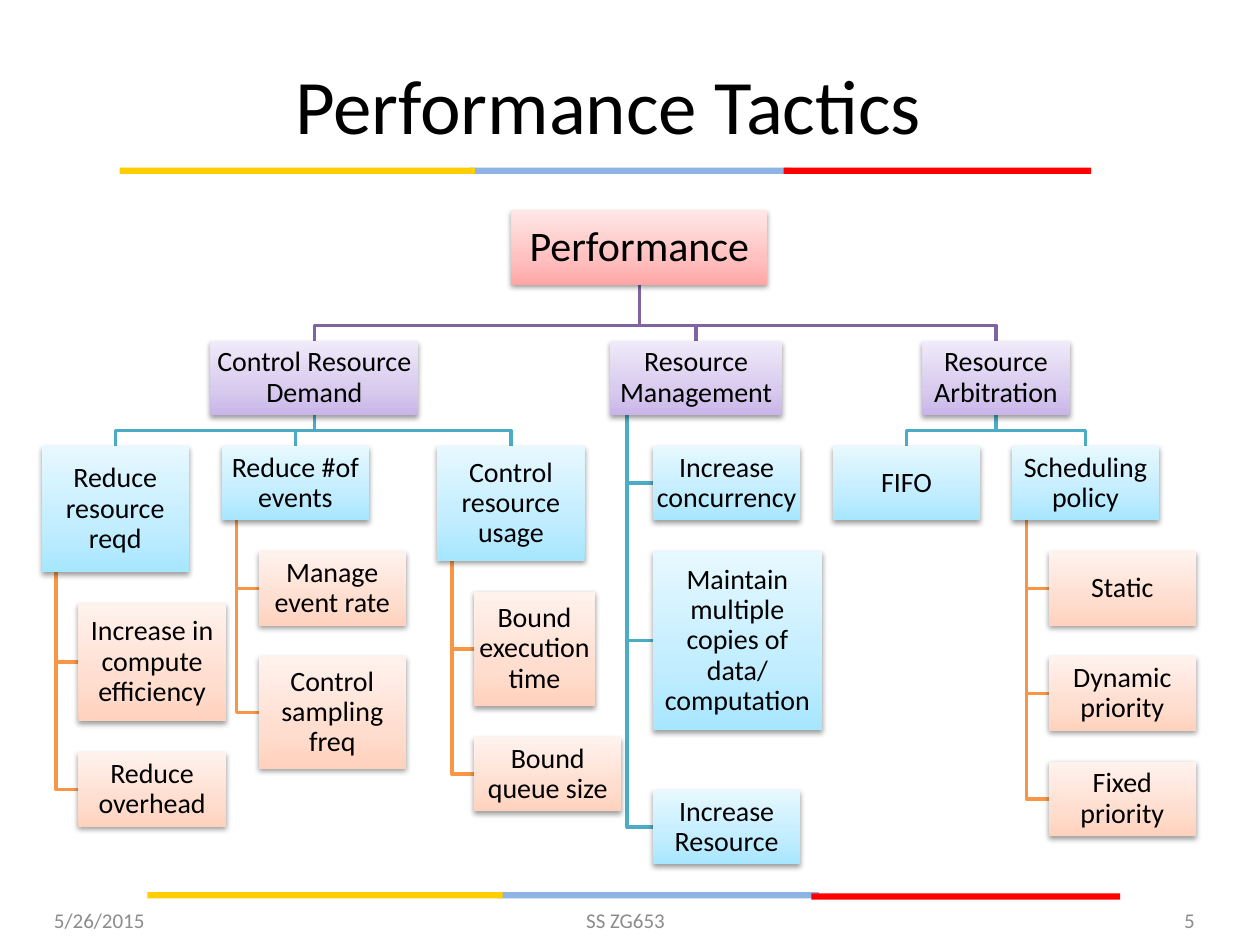
from dataclasses import dataclass, field

from lxml import etree
from pptx import Presentation
from pptx.dml.color import RGBColor
from pptx.enum.shapes import MSO_SHAPE as Preset
from pptx.enum.text import MSO_ANCHOR as Anchor, PP_ALIGN as Align
from pptx.oxml import parse_xml
from pptx.oxml.ns import nsdecls, qn
from pptx.util import Inches, Pt


@dataclass(frozen=True)
class Theme:
    font: str = "Calibri"
    black: str = "000000"
    gray: str = "8C8C8C"
    yellow: str = "FFCE00"
    blue: str = "8EB4E3"
    red: str = "FF0000"
    title: int = 44
    root: int = 24
    node: int = 16
    footer: int = 12
    line: int = 2
    level_fills: tuple = (
        ("FFA6A5", "FFC0BF", "FFE7E7"),
        ("C9B5E8", "D8CBEE", "F0EAF9"),
        ("A7E6FF", "C1EDFF", "E7F8FF"),
        ("FFD2BD", "FFDED0", "FFF2ED"),
    )
    level_lines: tuple = ("8064A2", "8064A2", "4BACC6", "F79646")


@dataclass
class Node:
    """One box of the tree; without a left edge it hangs below its parent."""
    text: str
    left: float = None
    width: float = 1.17
    height: float = 0.59
    extra: float = 0
    children: list = field(default_factory=list)
    top: float = 0
    level: int = 0
    hangs: bool = False


THEME = Theme()
GAP = 0.245
TREE = Node("Performance", 4.06, 2.03, children=[
    Node("Control Resource Demand", 1.67, 1.65, extra=0.2, children=[
        Node("Reduce resource reqd", 0.33, height=1, children=[
            Node("Increase in compute efficiency", height=0.94),
            Node("Reduce overhead"),
        ]),
        Node("Reduce #of events", 1.76, children=[
            Node("Manage event rate"),
            Node("Control sampling freq", height=0.89),
        ]),
        Node("Control resource usage", 3.47, height=0.91, children=[
            Node("Bound execution time", width=0.96, height=0.91),
            Node("Bound queue size"),
        ]),
    ]),
    Node("Resource Management", 4.84, 1.37, extra=0.2, children=[
        Node("Increase concurrency"),
        Node("Maintain multiple copies of data/ computation", width=1.34, height=1.42),
        Node("Increase Resource", extra=0.23),
    ]),
    Node("Resource Arbitration", 7.32, extra=0.2, children=[
        Node("FIFO", 6.61),
        Node("Scheduling policy", 8.03, children=[
            Node("Static"),
            Node("Dynamic priority"),
            Node("Fixed priority"),
        ]),
    ]),
])


def place(node, top, level=0):
    """Set the position and level of a node and everything below it."""
    node.top, node.level = top, level
    bottom = top + node.height
    for child in node.children:
        child.hangs = child.left is None
        if child.hangs:
            child.left = node.left + node.width / 4
        child_top = bottom + GAP + child.extra
        place(child, child_top, level + 1)
        if child.hangs:
            bottom = child_top + child.height


def walk(node):
    """Yield a node and all its descendants."""
    yield node
    for child in node.children:
        yield from walk(child)


def write(shape, text, size, color, align=Align.CENTER, inset=None, spacing=None):
    """Put one styled run of text into a shape."""
    frame = shape.text_frame
    frame.word_wrap = True
    frame.vertical_anchor = Anchor.MIDDLE
    if inset is not None:
        frame.margin_left = frame.margin_right = Inches(inset)
        frame.margin_top = frame.margin_bottom = Inches(inset)
    para = frame.paragraphs[0]
    para.alignment = align
    para.line_spacing = spacing
    span = para.add_run()
    span.text = text
    span.font.name = THEME.font
    span.font.size = Pt(size)
    span.font.color.rgb = RGBColor.from_string(color)


def add_label(page, text, area, size, color, align=Align.CENTER):
    """Add a text box over the given area."""
    box = page.shapes.add_textbox(*map(Inches, area))
    write(box, text, size, color, align)


def add_rectangle(page, *area):
    """Add a rectangle without outline or inherited shadow."""
    box = page.shapes.add_shape(Preset.RECTANGLE, *map(Inches, area))
    box.line.fill.background()
    box.shadow.inherit = False
    return box


def add_stripe(page, left, top, widths, red_drop=0):
    """Add a yellow, blue and red rule with slightly overlapping parts."""
    yellow, blue, red = widths
    blue_left = left + yellow - 0.04
    parts = (
        (THEME.blue, blue_left, top, blue),
        (THEME.red, left + sum(widths) - 0.1 - red, top + red_drop, red),
        (THEME.yellow, left, top, yellow),
    )
    for color, part_left, part_top, width in parts:
        bar = add_rectangle(page, part_left, part_top, width, 0.05)
        bar.fill.solid()
        bar.fill.fore_color.rgb = RGBColor.from_string(color)


def add_link(page, parent, child):
    """Draw the elbow line from a parent box to a child box."""
    bottom = parent.top + parent.height
    if child.hangs:
        trunk = parent.left + parent.width / 10
        middle = child.top + child.height / 2
        points = [(trunk, bottom), (trunk, middle), (child.left, middle)]
    else:
        start = parent.left + parent.width / 2
        end = child.left + child.width / 2
        turn = child.top - GAP / 2
        points = [(start, bottom), (start, turn), (end, turn), (end, child.top)]
    corners = [(Inches(x), Inches(y)) for x, y in points]
    builder = page.shapes.build_freeform(*corners[0])
    builder.add_line_segments(corners[1:], close=False)
    link = builder.convert_to_shape()
    link.fill.background()
    link.shadow.inherit = False
    link.line.width = Pt(THEME.line)
    link.line.color.rgb = RGBColor.from_string(THEME.level_lines[child.level])


def add_node(page, node):
    """Draw a tree box with its gradient, shadow and text."""
    box = add_rectangle(page, node.left, node.top, node.width, node.height)
    properties = box.element.spPr
    stops = "".join(
        f'<a:gs pos="{position}"><a:srgbClr val="{color}"/></a:gs>'
        for position, color in zip((0, 35000, 100000), THEME.level_fills[node.level])
    )
    properties.find(qn("a:ln")).addprevious(parse_xml(
        f'<a:gradFill {nsdecls("a")} rotWithShape="1"><a:gsLst>{stops}</a:gsLst>'
        '<a:lin ang="16200000" scaled="0"/></a:gradFill>'))
    shadow = etree.SubElement(properties.find(qn("a:effectLst")), qn("a:outerShdw"),
                              blurRad="40000", dist="20000", dir="5400000", rotWithShape="0")
    tint = etree.SubElement(shadow, qn("a:srgbClr"), val=THEME.black)
    etree.SubElement(tint, qn("a:alpha"), val="38000")
    size, inset = (THEME.node, 0.01) if node.level else (THEME.root, 0.02)
    write(box, node.text, size, THEME.black, inset=inset, spacing=0.9)


def main():
    """Build the performance tactics slide."""
    deck = Presentation()
    deck.slide_width, deck.slide_height = Inches(10), Inches(7.5)
    page = deck.slides.add_slide(deck.slide_layouts[6])
    add_stripe(page, 0.95, 1.33, (2.82, 2.55, 2.44))
    add_stripe(page, 1.17, 7.08, (2.82, 2.55, 2.45), red_drop=0.01)
    add_label(page, "Performance Tactics", (0.33, 0.31, 9, 1.03), THEME.title, THEME.black)
    for text, left, width, align in (
        ("5/26/2015", 0.33, 2.33, Align.LEFT),
        ("SS ZG653", 3.38, 3.17, Align.CENTER),
        ("5", 7.25, 2.33, Align.RIGHT),
    ):
        add_label(page, text, (left, 7.1, width, 0.4), THEME.footer, THEME.gray, align)
    place(TREE, 1.67)
    for parent in walk(TREE):
        for child in parent.children:
            add_link(page, parent, child)
    for node in walk(TREE):
        add_node(page, node)
    deck.save("out.pptx")


if __name__ == "__main__":
    main()
